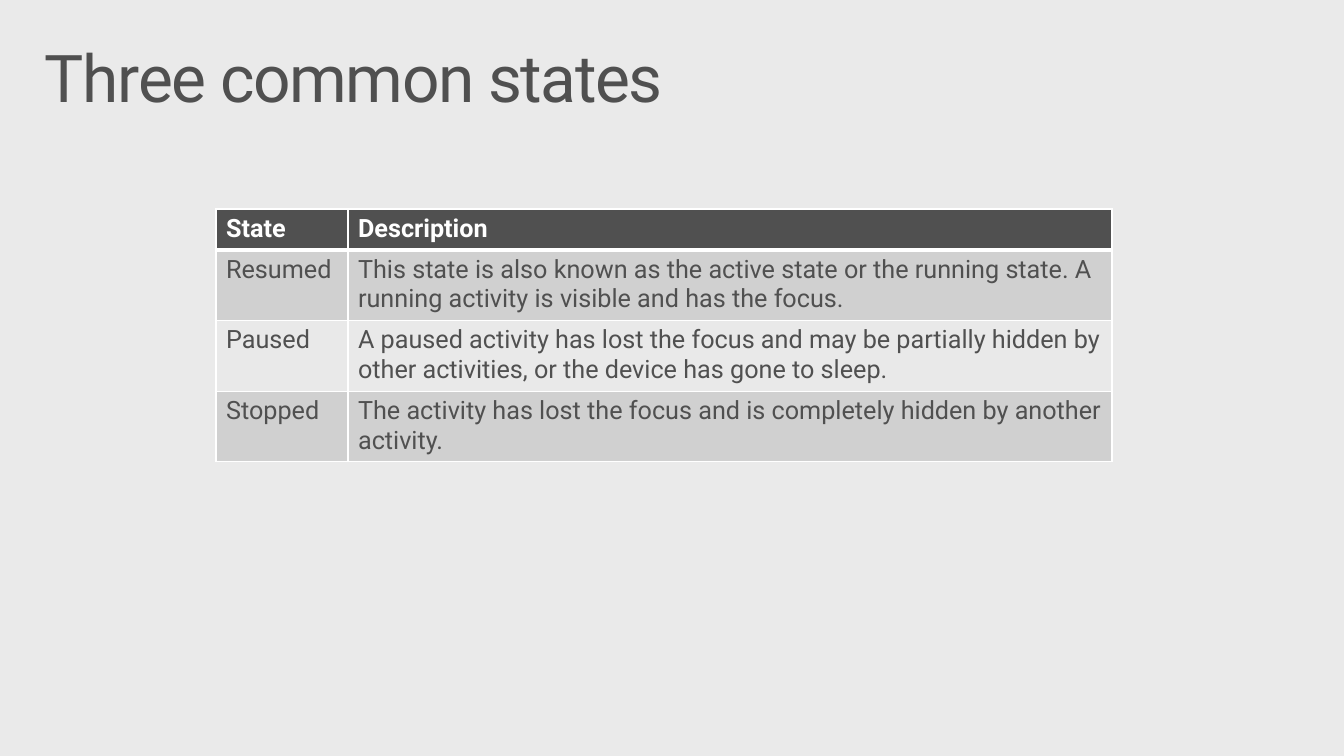
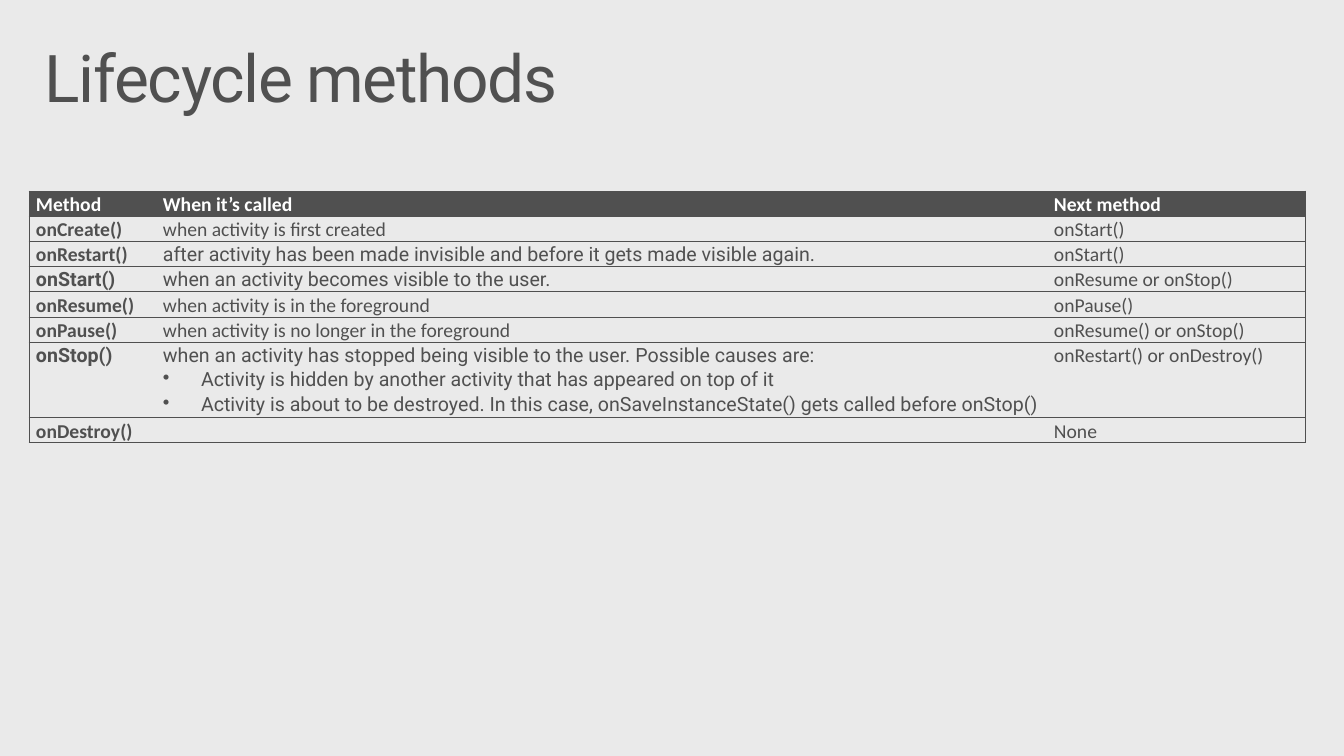
from lxml import etree
from pptx import Presentation
from pptx.dml.color import RGBColor
from pptx.enum.text import MSO_ANCHOR
from pptx.oxml.ns import qn
from pptx.util import Emu, Pt

MIDDLE = MSO_ANCHOR.MIDDLE
SCALE = 914400 / 100.8
WIDE, HIGH = 1344, 756
PAGE, INK, WHITE = "EAEAEA", "505050", "FFFFFF"
BANDS = ("D0D0D0", "E9E9E9")
MAIN, ALT = "Roboto", "Calibri"
PLAIN = "{2D5ABB26-0587-4C30-8999-92F81FD0307C}"
TITLE = (29, 32, 1285, 99)

STATES = [
    ("State", "Description"),
    ("Resumed", "This state is also known as the active state or the running "
     "state. A running activity is visible and has the focus."),
    ("Paused", "A paused activity has lost the focus and may be partially "
     "hidden by other activities, or the device has gone to sleep."),
    ("Stopped", "The activity has lost the focus and is completely hidden by "
     "another activity."),
]
METHODS = [
    ("Method", "When it’s called", "Next method"),
    ("onCreate()", "when activity is first created", "onStart()"),
    ("onRestart()", "after activity has been made invisible and before it "
     "gets made visible again.", "onStart()"),
    ("onStart()", "when an activity becomes visible to the user.",
     "onResume or onStop()"),
    ("onResume()", "when activity is in the foreground", "onPause()"),
    ("onPause()", "when activity is no longer in the foreground",
     "onResume() or onStop()"),
    ("onStop()", "when an activity has stopped being visible to the user. "
     "Possible causes are:\n"
     "Activity is hidden by another activity that has appeared on top of it\n"
     "Activity is about to be destroyed. In this case, onSaveInstanceState() "
     "gets called before onStop()", "onRestart() or onDestroy()"),
    ("onDestroy()", "", "None"),
]
MIXED = {(2, 1), (3, 0), (3, 1), (6, 0), (6, 1)}


def px(num):
    """Turn pixels into EMU."""
    return Emu(round(num * SCALE))


def color(code):
    """Turn a hex string into a colour."""
    return RGBColor.from_string(code)


def style(par, face, size, code, bold=False):
    """Format the runs of a paragraph, or its end mark when it is empty."""
    for run in par.runs:
        font = run.font
        font.name, font.size, font.bold = face, Pt(size), bold
        font.color.rgb = color(code)
    if not par.runs:
        par._p.get_or_add_endParaRPr().set("sz", str(size * 100))


def edge(cell, sides, code, width):
    """Draw the named sides of a cell."""
    props = cell._tc.get_or_add_tcPr()
    for side in "LRTB":
        if side in sides:
            line = etree.SubElement(props, qn("a:ln" + side),
                                    w=str(Pt(width[side])))
            fill = etree.SubElement(line, qn("a:solidFill"))
            etree.SubElement(fill, qn("a:srgbClr"), val=code)


def paint(cell, code):
    """Fill a cell, or leave it clear."""
    if code:
        cell.fill.solid()
        cell.fill.fore_color.rgb = color(code)
    else:
        cell.fill.background()


def bullet(par, step):
    """Give a paragraph a bullet and a hanging indent."""
    props = par._p.get_or_add_pPr()
    props.set("marL", str(px(step)))
    props.set("indent", str(-px(step)))
    etree.SubElement(props, qn("a:buChar"), char="•")


def grid(slide, left, top, cols, rows, data):
    """Add a plain table and yield each cell with its row and column."""
    frame = slide.shapes.add_table(len(rows), len(cols), px(left), px(top),
                                   px(sum(cols)), px(sum(rows)))
    table = frame.table
    table.first_row = table.horz_banding = False
    frame._element.find(".//" + qn("a:tableStyleId")).text = PLAIN
    for col, width in zip(table.columns, cols):
        col.width = px(width)
    for row, height in zip(table.rows, rows):
        row.height = px(height)
    for y, line in enumerate(data):
        for x, text in enumerate(line):
            cell = table.cell(y, x)
            cell.text_frame.text = text
            yield y, x, cell


def page(deck, text):
    """Add a slide with the shared background and title."""
    slide = deck.slides.add_slide(deck.slide_layouts[6])
    back = slide.background.fill
    back.solid()
    back.fore_color.rgb = color(PAGE)
    frame = slide.shapes.add_textbox(*map(px, TITLE)).text_frame
    frame.word_wrap = True
    frame.vertical_anchor = MIDDLE
    frame.margin_left = frame.margin_right = px(16)
    frame.margin_top = frame.margin_bottom = px(10)
    frame.text = text
    par = frame.paragraphs[0]
    par.line_spacing = 0.9
    style(par, MAIN, 47, INK)
    par.runs[0]._r.get_or_add_rPr().set("spc", "-100")
    return slide


def states(slide, left, top):
    """Place the banded table of states."""
    rows = [41] + [69] * (len(STATES) - 1)
    for y, x, cell in grid(slide, left, top, (132, 764), rows, STATES):
        head = y == 0
        width = dict(L=1, R=1, T=3 if y == 1 else 1, B=3 if head else 1)
        edge(cell, "LRTB", WHITE, width)
        paint(cell, INK if head else BANDS[(y - 1) % 2])
        style(cell.text_frame.paragraphs[0], MAIN, 18,
              WHITE if head else INK, head)


def methods(slide, left, top):
    """Place the ruled table of lifecycle methods."""
    cols = (127, 891, 259)
    rows = [74 if "\n" in line[1] else 25 for line in METHODS]
    width = dict.fromkeys("LRTB", 0.75)
    for y, x, cell in grid(slide, left, top, cols, rows, METHODS):
        head = y == 0
        sides = "TB" + {0: "L", len(cols) - 1: "R"}.get(x, "")
        edge(cell, sides, INK, width)
        paint(cell, INK if head else None)
        cell.margin_left = cell.margin_right = px(7)
        cell.margin_top = cell.margin_bottom = 0
        face = MAIN if (y, x) in MIXED else ALT
        for at, par in enumerate(cell.text_frame.paragraphs):
            par.line_spacing = 1.07
            par.space_before = Pt(0 if at else 12)
            if at:
                bullet(par, 38)
            style(par, face, 14, WHITE if head else INK, head or x == 0)


def main():
    """Build and save the deck."""
    deck = Presentation()
    deck.slide_width, deck.slide_height = px(WIDE), px(HIGH)
    states(page(deck, "Three common states"), 216, 209)
    methods(page(deck, "Lifecycle methods"), 29, 191)
    deck.save("out.pptx")


main()
